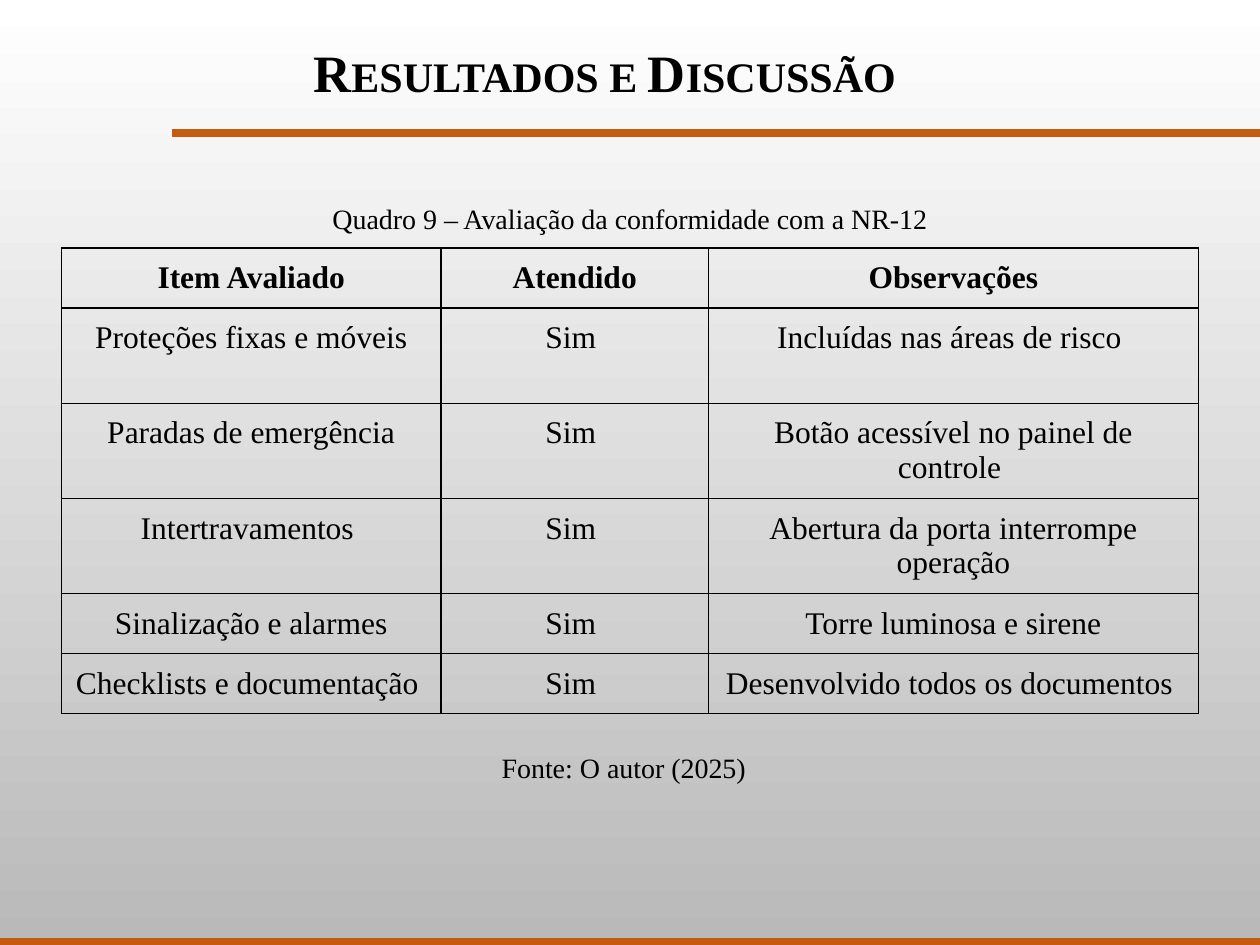
from lxml import etree
from pptx import Presentation
from pptx.dml.color import RGBColor
from pptx.enum import shapes, text
from pptx.oxml.ns import qn
from pptx.util import Cm, Pt

# Content
TITLE = "Resultados e Discussão"
CAPTION = "Quadro 9 – Avaliação da conformidade com a NR-12"
SOURCE = "Fonte: O autor (2025)  "
HEAD = ("Item Avaliado", "Atendido", "Observações")
ITEMS = [
    ("Proteções fixas e móveis", "Incluídas nas áreas de risco "),
    ("Paradas de emergência", "Botão acessível no painel de controle "),
    ("Intertravamentos ", "Abertura da porta interrompe operação"),
    ("Sinalização e alarmes", "Torre luminosa e sirene"),
    ("Checklists e documentação ", "Desenvolvido todos os documentos "),
]
ROWS = [HEAD] + [(item, "Sim ", note) for item, note in ITEMS]

# Theme and measures in centimetres
THEME = dict(font="Times New Roman", ink="000000", bar="C55A11",
             top="FFFFFF", base="B9B9B9", title=30, cell=18, note=16)
WIDE, HIGH = 25.4, 19.05
PAD = 0.25
COLS = (7.65, 5.39, 9.88)
LOW, TALL = 1.21, 1.92
HEIGHTS = (LOW, TALL, TALL, TALL, LOW, LOW)
LEFT, TOP = 1.24, 5.0
BAR = 0.13
RULE = 3.48


def color(name):
    return RGBColor.from_string(THEME[name])


def write(frame, words, size, bold=False, align=text.PP_ALIGN.CENTER):
    para = frame.paragraphs[0]
    para.alignment = align
    run = para.add_run()
    run.text = words
    font = run.font
    font.name, font.size, font.bold = THEME["font"], Pt(THEME[size]), bold
    font.color.rgb = color("ink")
    return run


def pad(part, side, edge):
    part.margin_left = part.margin_right = Cm(side)
    part.margin_top = part.margin_bottom = Cm(edge)


def add_bar(slide, left, top):
    bar = slide.shapes.add_shape(shapes.MSO_SHAPE.RECTANGLE, Cm(left), Cm(top),
                                 Cm(WIDE - left), Cm(BAR))
    bar.shadow.inherit = False
    bar.fill.solid()
    bar.fill.fore_color.rgb = bar.line.color.rgb = color("bar")
    bar.line.width = Pt(1)


def add_note(slide, words, left, top, width):
    box = slide.shapes.add_textbox(Cm(left), Cm(top), Cm(width), Cm(1.19))
    frame = box.text_frame
    frame.word_wrap = True
    frame.auto_size = text.MSO_AUTO_SIZE.SHAPE_TO_FIT_TEXT
    pad(frame, PAD, PAD)
    write(frame, words, "note")


def add_edges(cell):
    props = cell._tc.get_or_add_tcPr()
    for spot, side in enumerate(("lnL", "lnR", "lnT", "lnB")):
        line = etree.Element(qn(f"a:{side}"), w=str(Pt(0.75)))
        fill = etree.SubElement(line, qn("a:solidFill"))
        etree.SubElement(fill, qn("a:srgbClr"), val=THEME["ink"])
        props.insert(spot, line)


def add_grid(slide):
    table = slide.shapes.add_table(len(ROWS), len(COLS), Cm(LEFT), Cm(TOP),
                                   Cm(sum(COLS)), Cm(sum(HEIGHTS))).table
    table.horz_banding = False
    for col, width in zip(table.columns, COLS):
        col.width = Cm(width)
    for r, (row, height) in enumerate(zip(ROWS, HEIGHTS)):
        table.rows[r].height = Cm(height)
        for c, words in enumerate(row):
            cell = table.cell(r, c)
            pad(cell, PAD, PAD)
            cell.fill.background()
            add_edges(cell)
            write(cell.text_frame, words, "cell", bold=r == 0)


def main():
    deck = Presentation()
    deck.slide_width, deck.slide_height = Cm(WIDE), Cm(HIGH)
    slide = deck.slides.add_slide(deck.slide_layouts[5])

    # Background, white at the top
    fill = slide.background.fill
    fill.gradient()
    fill.gradient_angle = 270
    for stop, name in zip(fill.gradient_stops, ("top", "base")):
        stop.color.rgb = color(name)

    # Title in small capitals
    title = slide.shapes.title
    title.left, title.top, title.width, title.height = map(Cm, (6.07, 0.66, 13.34, 1.55))
    frame = title.text_frame
    frame.auto_size = text.MSO_AUTO_SIZE.NONE
    frame.vertical_anchor = text.MSO_ANCHOR.BOTTOM
    pad(frame, PAD, PAD / 2)
    run = write(frame, TITLE, "title", True, text.PP_ALIGN.LEFT)
    run.font._element.set("cap", "small")

    # Bars, table and its notes
    add_bar(slide, 0, HIGH - BAR)
    add_bar(slide, RULE, 2.62)
    add_grid(slide)
    add_note(slide, CAPTION, 4.37, 3.81, 16.66)
    add_note(slide, SOURCE, 9.17, 14.88, 7.09)

    deck.save("out.pptx")


if __name__ == "__main__":
    main()
